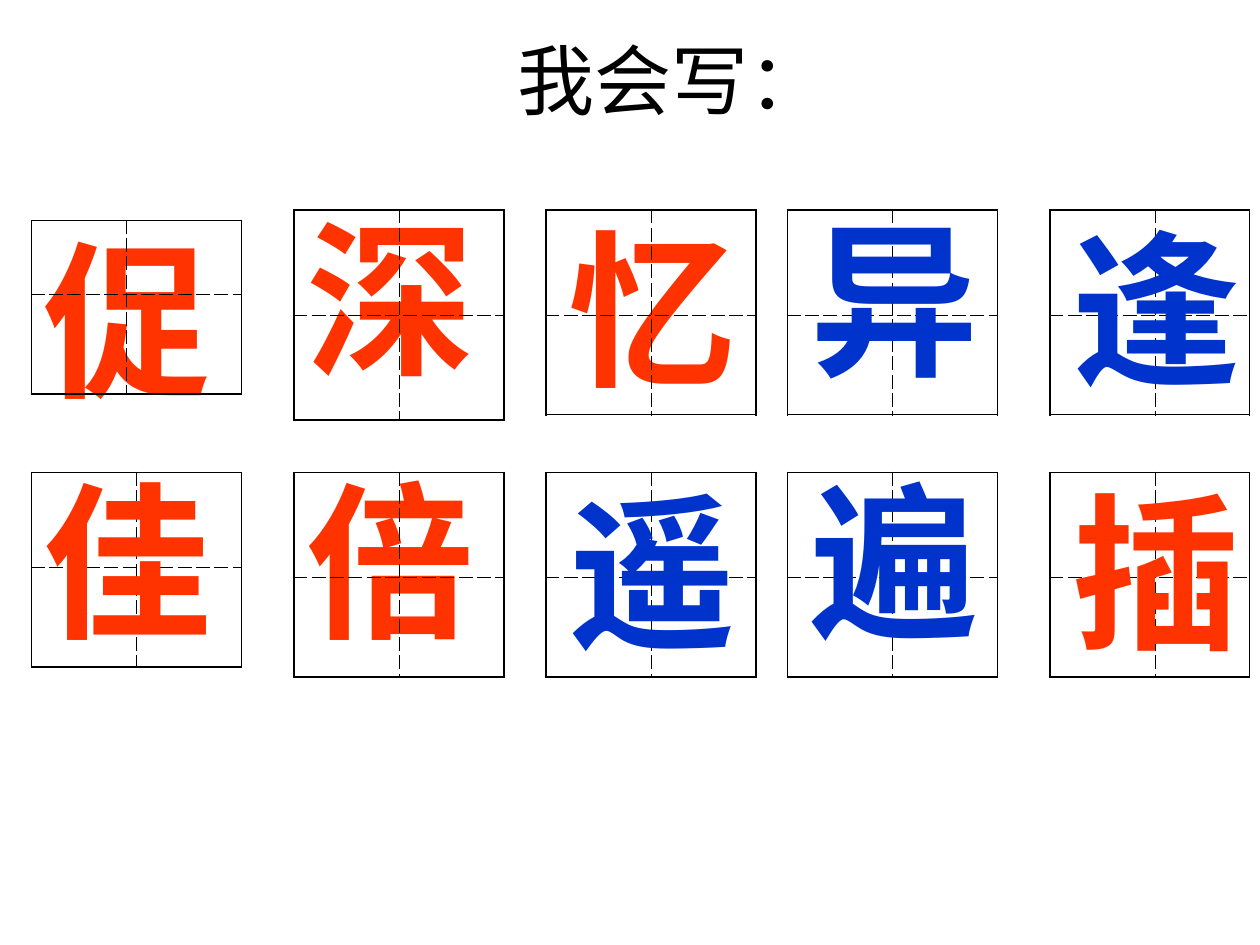
from dataclasses import dataclass

from lxml import etree
from pptx import Presentation
from pptx.dml.color import RGBColor
from pptx.enum.lang import MSO_LANGUAGE_ID
from pptx.enum.text import MSO_ANCHOR, MSO_AUTO_SIZE, PP_ALIGN
from pptx.oxml.ns import qn
from pptx.util import Cm, Pt

CENTER = PP_ALIGN.CENTER
LEFT = PP_ALIGN.LEFT
MIDDLE = MSO_ANCHOR.MIDDLE
TOP = MSO_ANCHOR.TOP
NO_AUTOSIZE = MSO_AUTO_SIZE.NONE
CHINESE = MSO_LANGUAGE_ID.SIMPLIFIED_CHINESE

BLACK = RGBColor(0x00, 0x00, 0x00)
RED = RGBColor(0xFF, 0x33, 0x00)
BLUE = RGBColor(0x00, 0x33, 0xCC)

FONT = "Arial"
SOLID_WIDTH, DASH_WIDTH = Pt(1.08), Pt(0.45)

# Everything sits on a grid of twelve units to 2.54 cm
UNIT = Cm(2.54) / 12
COLUMN_LEFTS = (3, 28, 52, 75, 100)
GLYPH_SHIFTS = (0, 0, 1, 1, 1)
ROW_TOPS = (20, 45)
GLYPH_SIZE = (19, 20.4)


@dataclass
class Practice:
    """One character and the writing square around it, in grid units."""
    glyph: str
    color: RGBColor
    rise: int  # how far the character box starts above the square
    widths: tuple = (10, 10)
    heights: tuple = (10, 9.5)
    drop: int = 0  # how far the square starts below its row
    grid_on_top: bool = False


PRACTICE_ROWS = (
    (
        Practice("促", RED, 1, (9, 11), (7, 9.5), 1, True),
        Practice("深", RED, 2, heights=(10, 10), grid_on_top=True),
        Practice("忆", RED, 1, grid_on_top=True),
        Practice("异", BLUE, 2),
        Practice("逢", BLUE, 1, (10, 9)),
    ),
    (
        Practice("佳", RED, 2, heights=(9, 9.5)),
        Practice("倍", RED, 2, grid_on_top=True),
        Practice("遥", BLUE, 1),
        Practice("遍", BLUE, 2),
        Practice("插", RED, 1, (10, 9)),
    ),
)


def units(count):
    return round(count * UNIT)


def format_text(frame, text, size, color, align, bold=False):
    frame.word_wrap = True
    frame.text = text
    para = frame.paragraphs[0]
    para.alignment = align
    font = para.runs[0].font
    font.name = FONT
    font.size = Pt(size)
    font.bold = bold
    font.color.rgb = color
    font.language_id = CHINESE


def add_border(cell, side, dashed):
    line = etree.SubElement(cell._tc.get_or_add_tcPr(), qn(f"a:ln{side}"))
    line.set("w", str(DASH_WIDTH if dashed else SOLID_WIDTH))
    fill = etree.SubElement(line, qn("a:solidFill"))
    etree.SubElement(fill, qn("a:srgbClr")).set("val", str(BLACK))
    dash = etree.SubElement(line, qn("a:prstDash"))
    dash.set("val", "dash" if dashed else "solid")


def add_title(page, left, top, width, height):
    title = page.shapes.title
    title.left, title.top, title.width, title.height = left, top, width, height
    frame = title.text_frame
    format_text(frame, "我会写：", 44, BLACK, CENTER)
    frame.vertical_anchor = MIDDLE
    frame.auto_size = NO_AUTOSIZE


def add_square(page, left, top, widths, heights):
    """Two by two cells: solid outside, dashed inside."""
    frame = page.shapes.add_table(
        2, 2, left, top, units(sum(widths)), units(sum(heights)))
    table = frame.table
    table.first_row = table.horz_banding = False
    for index in range(2):
        table.columns[index].width = units(widths[index])
        table.rows[index].height = units(heights[index])
    for row in range(2):
        for column in range(2):
            cell = table.cell(row, column)
            inner_sides = (("L", column == 1), ("R", column == 0),
                           ("T", row == 1), ("B", row == 0))
            for side, dashed in inner_sides:
                add_border(cell, side, dashed)
            cell.fill.background()


def add_glyph(page, left, top, glyph, color):
    box = page.shapes.add_textbox(left, top, *map(units, GLYPH_SIZE))
    box.text_frame.vertical_anchor = TOP
    format_text(box.text_frame, glyph, 96, color, LEFT, bold=True)


def add_practice(page, left, top, shift, practice):
    square_top = top + units(practice.drop)

    def place_glyph():
        add_glyph(page, left + units(shift), square_top - units(practice.rise),
                  practice.glyph, practice.color)

    if practice.grid_on_top:
        place_glyph()
    add_square(page, left, square_top, practice.widths, practice.heights)
    if not practice.grid_on_top:
        place_glyph()


def main():
    deck = Presentation()
    deck.slide_width, deck.slide_height = Cm(25.4), Cm(19.05)
    page = deck.slides.add_slide(deck.slide_layouts[5])

    # Title
    add_title(page, Cm(1.68), Cm(0), Cm(23.72), Cm(3.18))

    # Characters in their writing squares
    for top, practices in zip(ROW_TOPS, PRACTICE_ROWS):
        for left, shift, practice in zip(COLUMN_LEFTS, GLYPH_SHIFTS, practices):
            add_practice(page, units(left), units(top), shift, practice)

    deck.save("out.pptx")


if __name__ == "__main__":
    main()
